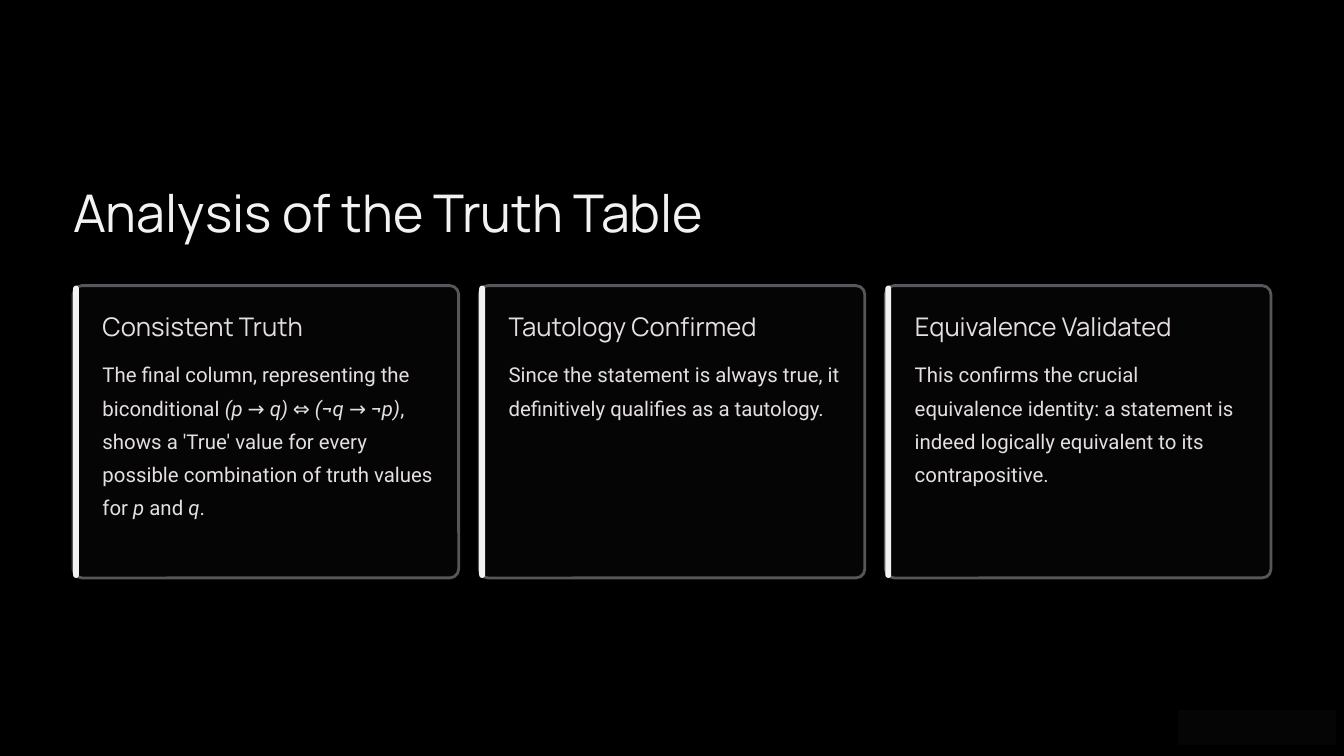
"""Build the slide that analyses a truth table in three cards."""
from dataclasses import dataclass

from pptx import Presentation
from pptx import util as u
from pptx.dml.color import RGBColor
from pptx.enum import shapes, text
from pptx.shapes.autoshape import Shape
from pptx.slide import Slide

COLORS = {
    "background": "000000",
    "panel": "050505",
    "border": "56565B",
    "bright": "F2F2F3",
    "body": "E5E0DF",
}
MARGIN, CARD_TOP, CARD_WIDTH, CARD_HEIGHT = 0.87, 3.4, 4.59, 3.48
SLIDE_WIDTH, SLIDE_HEIGHT = 16, 9
ACCENT_WIDTH, INDENT, BODY_WIDTH = 0.07, 0.35, 3.96


@dataclass(frozen=True)
class Card:
    """A heading with its explanation; asterisks enclose italic passages."""

    heading: str
    heading_width: float
    explanation: str
    explanation_height: float


CARDS = [
    Card(
        "Consistent Truth", 3.1,
        "The final column, representing the biconditional *(p → q) ⇔ (¬q → ¬p)*, "
        "shows a 'True' value for every possible combination of truth values "
        "for *p* and *q*.", 2.38,
    ),
    Card(
        "Tautology Confirmed", 3.25,
        "Since the statement is always true, it definitively qualifies as a tautology.",
        0.79,
    ),
    Card(
        "Equivalence Validated", 3.42,
        "This confirms the crucial equivalence identity: a statement is indeed "
        "logically equivalent to its contrapositive.", 1.59,
    ),
]


def color(name: str) -> RGBColor:
    """Return the named colour."""
    return RGBColor.from_string(COLORS[name])


def place(shape: Shape, left: float, top: float, width: float, height: float) -> Shape:
    """Move and size a shape, in inches."""
    shape.left, shape.top = u.Inches(left), u.Inches(top)
    shape.width, shape.height = u.Inches(width), u.Inches(height)
    return shape


def write(shape: Shape, words: str, *, font: str, size: float, leading: float,
          fill: str, wrap: bool = False) -> None:
    """Fill a shape with one formatted paragraph."""
    frame = shape.text_frame
    frame.margin_left = frame.margin_right = frame.margin_top = frame.margin_bottom = 0
    frame.auto_size = text.MSO_AUTO_SIZE.NONE
    frame.word_wrap = wrap
    frame.vertical_anchor = text.MSO_ANCHOR.TOP
    paragraph = frame.paragraphs[0]
    paragraph.alignment = text.PP_ALIGN.LEFT
    paragraph.line_spacing = u.Pt(leading)
    for index, passage in enumerate(words.split("*")):
        run = paragraph.add_run()
        run.text = passage
        run.font.name = font
        run.font.size = u.Pt(size)
        run.font.italic = index % 2 == 1
        run.font.color.rgb = color(fill)


def add_panel(slide: Slide, left: float, top: float, width: float, height: float, *,
              fill: str, rounding: float = 0, border: str = "",
              border_width: float = 1) -> None:
    """Draw a filled rectangle, rounded and outlined on request."""
    kind = shapes.MSO_SHAPE.ROUNDED_RECTANGLE if rounding else shapes.MSO_SHAPE.RECTANGLE
    panel = place(slide.shapes.add_shape(kind, 0, 0, 0, 0), left, top, width, height)
    panel.shadow.inherit = False
    panel.fill.solid()
    panel.fill.fore_color.rgb = color(fill)
    if rounding:
        panel.adjustments[0] = rounding
    if border:
        panel.line.color.rgb = color(border)
        panel.line.width = u.Pt(border_width)
    else:
        panel.line.fill.background()


def add_card(slide: Slide, card: Card, left: float) -> None:
    """Draw one card with its accent bar and words."""
    add_panel(slide, left, CARD_TOP, CARD_WIDTH, CARD_HEIGHT, fill="panel",
              rounding=0.03, border="border", border_width=2.4)
    add_panel(slide, left, CARD_TOP, ACCENT_WIDTH, CARD_HEIGHT, fill="bright", rounding=0.5)
    heading = slide.shapes.add_textbox(0, 0, 0, 0)
    place(heading, left + INDENT, CARD_TOP + 0.28, card.heading_width, 0.39)
    write(heading, card.heading, font="Manrope", size=22, leading=27.5, fill="body")
    explanation = slide.shapes.add_textbox(0, 0, 0, 0)
    place(explanation, left + INDENT, CARD_TOP + 0.81, BODY_WIDTH, card.explanation_height)
    write(explanation, card.explanation, font="Roboto", size=17.5, leading=28.5,
          fill="body", wrap=True)


def main() -> None:
    """Build and save the slide."""
    deck = Presentation()
    deck.slide_width, deck.slide_height = u.Inches(SLIDE_WIDTH), u.Inches(SLIDE_HEIGHT)
    slide = deck.slides.add_slide(deck.slide_layouts.get_by_name("Title Only"))
    slide.background.fill.solid()
    slide.background.fill.fore_color.rgb = color("background")

    title = place(slide.shapes.title, MARGIN, 2.12, 7.99, 0.78)
    write(title, "Analysis of the Truth Table", font="Manrope", size=44.5,
          leading=55.5, fill="bright")

    pitch = (SLIDE_WIDTH - 2 * MARGIN - CARD_WIDTH) / (len(CARDS) - 1)
    for index, card in enumerate(CARDS):
        add_card(slide, card, MARGIN + index * pitch)
    add_panel(slide, 14.03, 8.46, 1.87, 0.4, fill="panel", border="panel")

    deck.save("out.pptx")


if __name__ == "__main__":
    main()
